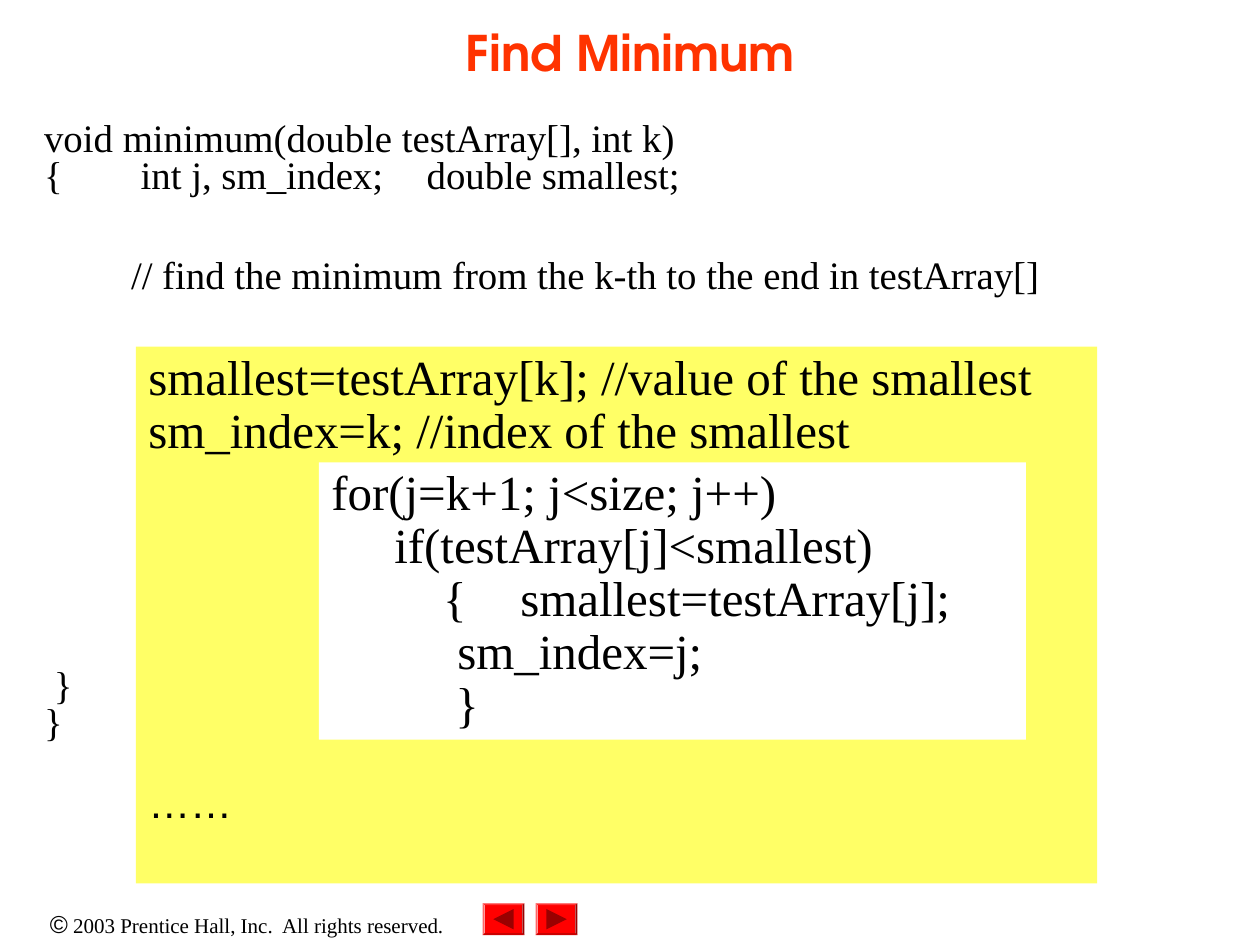
from pptx import Presentation
from pptx.dml.color import RGBColor as RGB
from pptx.enum.shapes import MSO_SHAPE as Shape
from pptx.enum.text import MSO_ANCHOR as Anchor, PP_ALIGN as Align
from pptx.util import Cm, Inches, Pt
from lxml.etree import SubElement
from pptx.oxml.ns import qn

COLORS = {
    "title": "FF3300", "text": "000000", "panel": "FFFF66",
    "inner": "FFFFFF", "button": "FF0000", "arrow": "990000",
}
SERIF, SANS, HEADING = "Times New Roman", "Arial", "TeX Gyre Adventor"


def write(p, text, size=28, font=SERIF, color="text", bold=False,
          spacing=None, before=0, hanging=0, align=Align.LEFT):
    p.alignment = align
    p.space_before = Pt(before)
    if spacing:
        p.line_spacing = spacing
    pPr = p._p.get_or_add_pPr()
    pPr.set("marL", str(Cm(hanging)))
    pPr.set("indent", str(-Cm(hanging)))
    if pPr.find(qn("a:tabLst")) is None:
        tabs = SubElement(pPr, qn("a:tabLst"))
        for i in range(8):
            SubElement(tabs, qn("a:tab"), pos=str(Inches(i)), algn="l")
    r = p.add_run()
    r.text = text
    r.font.size = Pt(size)
    r.font.name = font
    r.font.bold = bold
    r.font.color.rgb = RGB.from_string(COLORS[color])


class SlideBuilder:
    def __init__(self, prs):
        self.slide = prs.slides.add_slide(prs.layouts[5] if hasattr(prs, "layouts")
                                          else prs.slide_layouts[5])

    def title(self, text, left, top, width, height):
        sp = self.slide.shapes.title
        sp.left, sp.top, sp.width, sp.height = map(Cm, (left, top, width, height))
        tf = sp.text_frame
        tf.vertical_anchor = Anchor.BOTTOM
        write(tf.paragraphs[0], text, font=HEADING, color="title",
              bold=True, align=Align.CENTER)

    def shape(self, kind, color, left, top, width, height, rotation=0):
        sp = self.slide.shapes.add_shape(kind, *map(Cm, (left, top, width, height)))
        sp.shadow.inherit = False
        sp.fill.solid()
        sp.fill.fore_color.rgb = RGB.from_string(COLORS[color])
        sp.line.fill.background()
        sp.rotation = rotation
        return sp

    def text(self, left, top, width, height):
        tf = self.slide.shapes.add_textbox(
            *map(Cm, (left, top, width, height))).text_frame
        tf.word_wrap = True
        return tf

    def code(self, tf, lines, gaps=None, **style):
        tf.vertical_anchor = Anchor.TOP
        for i, line in enumerate(lines):
            p = tf.paragraphs[0] if i == 0 else tf.add_paragraph()
            write(p, line, before=(gaps or {}).get(i, 0), **style)

    def button(self, left, top, rotation):
        width, height, arrow = 0.84, 0.64, 0.41
        sp = self.shape(Shape.BEVEL, "button", left, top, width, height)
        sp.adjustments[0] = 0.06
        self.shape(Shape.ISOSCELES_TRIANGLE, "arrow", left + (width - arrow) / 2,
                   top + (height - arrow) / 2, arrow, arrow, rotation)


def main():
    prs = Presentation()
    prs.slide_width, prs.slide_height = Cm(25.4), Cm(19.05)
    s = SlideBuilder(prs)

    p = s.text(0, 18.21, 9.96, 0.86).paragraphs[0]
    write(p, "©", size=14, font=SANS, align=Align.CENTER)
    write(p, " 2003 Prentice Hall, Inc.  All rights reserved.", size=12,
          align=Align.CENTER)
    for left, rotation in ((10.8, 90), (9.73, 270)):
        s.button(left, 18.21, rotation)

    s.title("Find Minimum", 1.91, 0.2, 21.59, 1.57)
    s.code(s.text(0.64, 2.34, 23.6, 14.3), [
        "void minimum(double testArray[], int k)",
        "{\t     int j, sm_index;\t  double smallest;",
        "\t    // find the minimum from the k-th to the end in testArray[]",
        " }",
        "}",
    ], gaps={2: 35.7, 3: 213}, size=22.2, spacing=0.8, hanging=0.97)

    tf = s.shape(Shape.RECTANGLE, "panel", 2.74, 6.99, 19.38, 10.82).text_frame
    s.code(tf, [
        "smallest=testArray[k]; //value of the smallest",
        "sm_index=k; //index of the smallest",
    ], spacing=0.9)
    write(tf.add_paragraph(), "……", size=24, font=SANS, before=181.5)

    tf = s.shape(Shape.RECTANGLE, "inner", 6.43, 9.32, 14.25, 5.59).text_frame
    tf.word_wrap = False
    s.code(tf, [
        "for(j=k+1; j<size; j++)",
        "\tif(testArray[j]<smallest)",
        "\t    {\tsmallest=testArray[j];",
        "\t\tsm_index=j;",
        "\t     }",
    ], spacing=0.9)
    prs.save("out.pptx")


if __name__ == "__main__":
    main()
